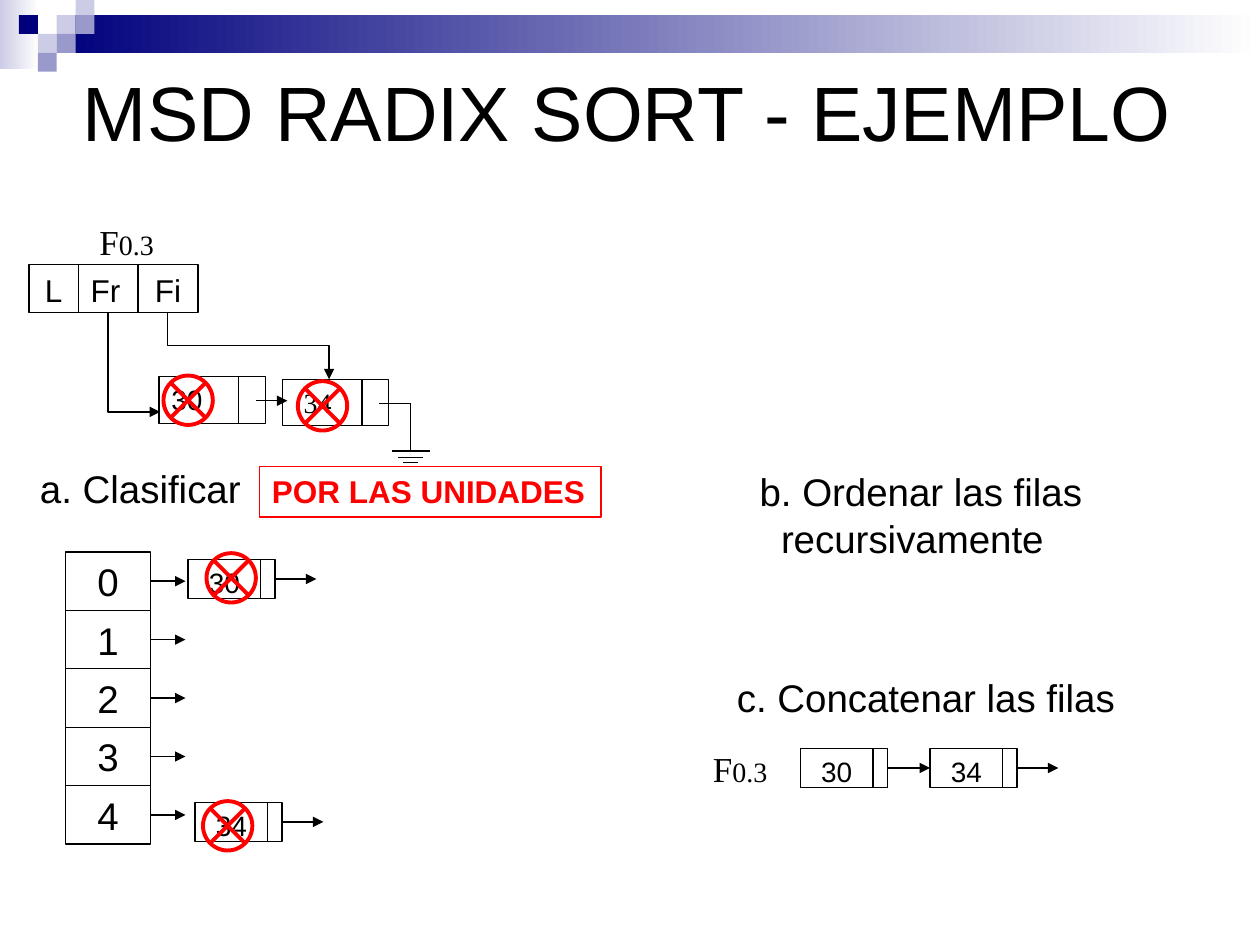
from pptx import Presentation
from pptx.util import Pt
from pptx.dml.color import RGBColor
from pptx.enum.shapes import MSO_CONNECTOR, MSO_SHAPE
from pptx.enum.text import MSO_ANCHOR, PP_ALIGN
from pptx.oxml.ns import qn
from lxml.etree import SubElement

BLACK = RGBColor(0x00, 0x00, 0x00)
WHITE = RGBColor(0xFF, 0xFF, 0xFF)
RED = RGBColor(0xFF, 0x00, 0x00)
NAVY = RGBColor(0x00, 0x00, 0x7D)
LILAC = RGBColor(0xCC, 0xCC, 0xE6)
VIOLET = RGBColor(0x99, 0x99, 0xCC)
SANS, SERIF = "Arial", "Times New Roman"


def write(sp, runs, font=SANS, color=BLACK, bold=False, align=PP_ALIGN.LEFT,
          anchor=MSO_ANCHOR.TOP, wrap=True, left=7.2, indent=0):
    tf = sp.text_frame
    tf.word_wrap = wrap
    tf.vertical_anchor = anchor
    tf.margin_left = Pt(left)
    for i, line in enumerate(runs):
        p = tf.add_paragraph() if i else tf.paragraphs[0]
        p.alignment = align
        if i and indent:
            p._p.get_or_add_pPr().set("marL", str(Pt(indent)))
        for text, size in line:
            r = p.add_run()
            r.text = text
            r.font.name, r.font.size, r.font.bold = font, Pt(size), bold
            r.font.color.rgb = color


def label(s, x, y, w, h, runs, **fmt):
    write(s.shapes.add_textbox(Pt(x), Pt(y), Pt(w), Pt(h)), runs, **fmt)


def shape(s, x, y, w, h, fill=WHITE, line=BLACK, width=0.75, kind=MSO_SHAPE.RECTANGLE):
    sp = s.shapes.add_shape(kind, Pt(x), Pt(y), Pt(w), Pt(h))
    sp.shadow.inherit = False
    if fill is None:
        sp.fill.background()
    elif isinstance(fill, RGBColor):
        sp.fill.solid()
        sp.fill.fore_color.rgb = fill
    else:
        sp.fill.gradient()
        sp.fill.gradient_angle = 0
        for stop, color, pos in zip(sp.fill.gradient_stops, fill, (0, 1)):
            stop.color.rgb, stop.position = color, pos
    if line is None:
        sp.line.fill.background()
    else:
        sp.line.color.rgb, sp.line.width = line, Pt(width)
    return sp


def cell(s, x, y, w, h, text, size, **fmt):
    sp = shape(s, x, y, w, h)
    write(sp, [[(text, size)]], **fmt)
    return sp


def connector(s, x1, y1, x2, y2, arrow=True, width=0.75, kind=MSO_CONNECTOR.STRAIGHT):
    c = s.shapes.add_connector(kind, Pt(x1), Pt(y1), Pt(x2), Pt(y2))
    c.line.color.rgb, c.line.width = BLACK, Pt(width)
    if arrow:
        SubElement(c.line._get_or_add_ln(), qn("a:tailEnd"), type="triangle")
    SubElement(c._element.spPr, qn("a:effectLst"))
    return c


def down_elbow(s, x1, y1, x2, y2, preset):
    cx, cy, dx, dy = (x1 + x2) / 2, (y1 + y2) / 2, (x2 - x1) / 2, (y2 - y1) / 2
    c = connector(s, cx + dy, cy - dx, cx - dy, cy + dx, kind=MSO_CONNECTOR.ELBOW)
    spPr = c._element.spPr
    spPr.find(qn("a:xfrm")).set("rot", "16200000")
    spPr.find(qn("a:prstGeom")).set("prst", preset)


def arrow_from(s, sp, length):
    x = (sp.left + sp.width) / Pt(1)
    y = (sp.top + sp.height / 2) / Pt(1)
    c = connector(s, x, y, x + length, y)
    c.begin_connect(sp, 3)
    return c


def node(s, x, y, w, h, link_w, text, **fmt):
    value = cell(s, x, y, w, h, text, 16, **fmt)
    link = shape(s, x + w, y, link_w, h)
    return value, link


def small_node(s, x, y, text):
    value, link = node(s, x, y, 41.6, 22.3, 8.2, text, align=PP_ALIGN.CENTER)
    return value, arrow_from(s, link, 23.6)


def cross_out(s, x, y):
    shape(s, x, y, 28.2, 28.2, None, RED, 2.25, MSO_SHAPE.FLOWCHART_SUMMING_JUNCTION)


def queue_name(s, x, y):
    label(s, x, y, 55.4, 41, [[("F", 20), ("0.3", 16)]], font=SERIF, align=PP_ALIGN.CENTER)


def header(s, x, y, w):
    u = 10.8
    shape(s, x, y, 22.3, 41.8, (LILAC, WHITE), None)
    shape(s, x + 3 * u, y + u, w - 3 * u, 21.6, (NAVY, WHITE), None)
    for col, row, color in [(3, 1, LILAC), (4, 0, LILAC), (4, 1, VIOLET), (2, 2, LILAC),
                            (1, 1, NAVY), (3, 2, VIOLET), (2, 3, VIOLET)]:
        shape(s, x + col * u, y + row * u, u, u, color, None)


def ground(s, x, y):
    connector(s, x - 18, y, x, y, arrow=False)
    connector(s, x, y, x, y + 27, arrow=False, width=0.5)
    for half, drop in [(10.8, 27.4), (7.2, 31), (4.3, 34)]:
        connector(s, x - half, y + drop, x + half, y + drop, arrow=False)


def linked_queue(s, x, y):
    queue_name(s, x + 28.1, y - 28.8)
    for dx, w, text, align in [(0, 28.1, "L", PP_ALIGN.CENTER), (28.1, 34.2, "Fr", PP_ALIGN.LEFT),
                               (62.3, 34.2, "Fi", PP_ALIGN.CENTER)]:
        cell(s, x + dx, y, w, 27.4, text, 18, align=align)
    node(s, x + 74.2, y + 64.1, 45.6, 26.6, 15.3, "30")
    node(s, x + 144.7, y + 65.5, 45.6, 26.6, 15.3, "34", font=SERIF, left=12.2)
    connector(s, x + 129.6, y + 77.8, x + 147.6, y + 77.8)
    down_elbow(s, x + 45.2, y + 27.4, x + 74.9, y + 84.2, "bentConnector2")
    down_elbow(s, x + 79.2, y + 27.4, x + 171.4, y + 65.5, "bentConnector3")
    ground(s, x + 218.1, y + 79.2)
    cross_out(s, x + 76.8, y + 63.4)
    cross_out(s, x + 153.6, y + 66.6)


def buckets(s, x, y, w, h):
    for i in range(5):
        sp = cell(s, x, y + i * h, w, h, str(i), 22, align=PP_ALIGN.CENTER)
        arrow_from(s, sp, 19.8)
    for dx, dy, text, mark_dx, mark_dy in [(70, 4.3, "30", 10.6, -3.6),
                                           (74, 143.1, "34", 4.6, -0.7)]:
        small_node(s, x + dx, y + dy, text)
        cross_out(s, x + dx + mark_dx, y + dy + mark_dy)


def sorted_queue(s, x, y):
    queue_name(s, x, y)
    _, arrow = small_node(s, x + 62, y + 4.3, "30")
    last, _ = small_node(s, x + 136.1, y + 4.3, "34")
    arrow.end_connect(last, 1)


def main():
    prs = Presentation()
    prs.slide_width, prs.slide_height = Pt(720), Pt(540)
    s = prs.slides.add_slide(prs.slide_layouts[6])
    header(s, 0, -2.2, 720)
    label(s, 40.3, 9.4, 648, 108, [[("MSD RADIX SORT - EJEMPLO", 44)]],
          anchor=MSO_ANCHOR.MIDDLE)
    linked_queue(s, 16.6, 151.2)
    label(s, 15.8, 262.1, 129.6, 33.8, [[("a. Clasificar", 22)]], wrap=False)
    banner = shape(s, 148.3, 266.4, 195.1, 29, None, RED)
    write(banner, [[("POR LAS UNIDADES", 18)]], color=RED, bold=True, wrap=False)
    buckets(s, 37.4, 315.4, 48.8, 33.4)
    label(s, 427, 264.2, 207.4, 60.5,
          [[("b. Ordenar las filas", 22)], [("recursivamente", 22)]], wrap=False, indent=12.2)
    label(s, 414, 381.6, 233.3, 33.8, [[("c. Concatenar las filas", 22)]], wrap=False)
    sorted_queue(s, 395.3, 423.4)
    prs.save("out.pptx")


if __name__ == "__main__":
    main()
